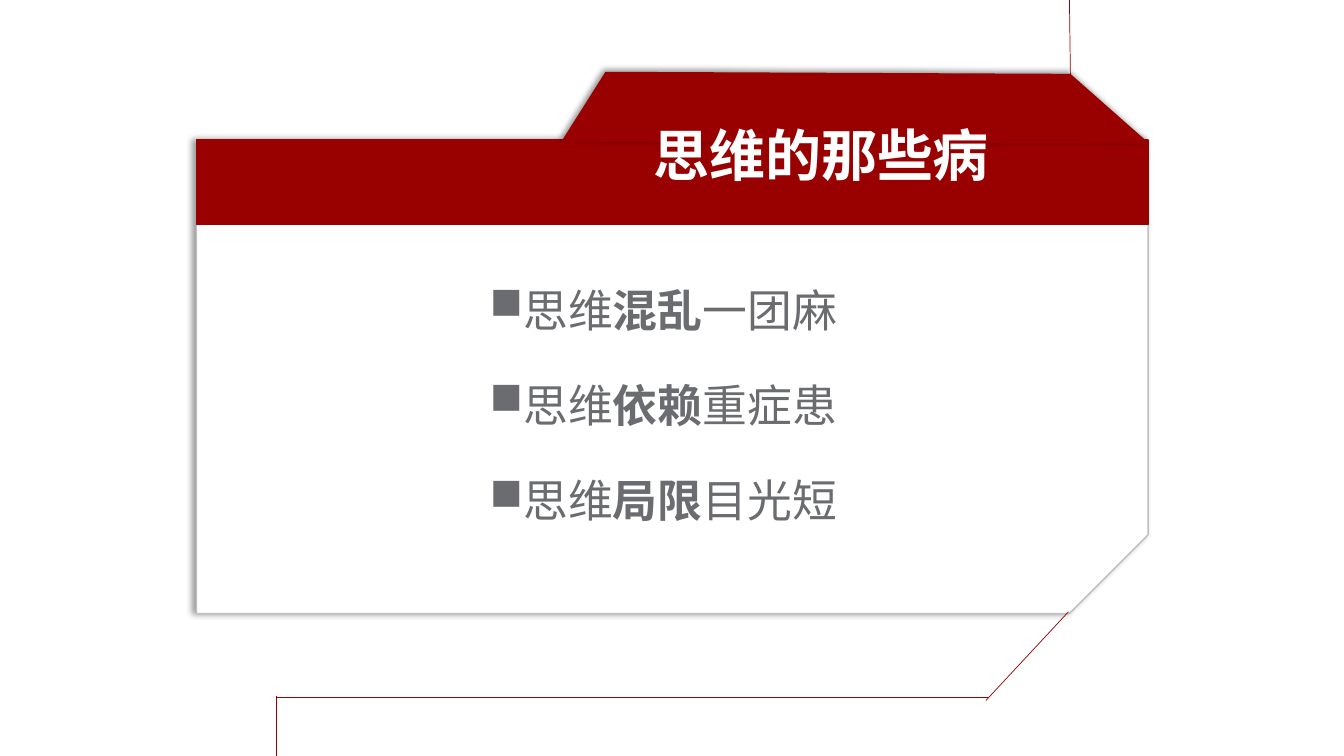
from dataclasses import dataclass
from pptx import Presentation
from pptx.dml.color import RGBColor as Rgb
from pptx.enum.shapes import MSO_CONNECTOR as Conn, MSO_SHAPE as Geo
from pptx.enum.text import MSO_ANCHOR as Anchor, MSO_AUTO_SIZE as Auto, PP_ALIGN as Align
from pptx.oxml.ns import qn
from pptx.util import Pt
from lxml.etree import SubElement as Sub


@dataclass(frozen=True)
class Theme:
    red: str = "990000"
    white: str = "FFFFFF"
    edge: str = "BFBFBF"
    ink: str = "6B6C70"
    black: str = "000000"
    font: str = "Noto Sans CJK SC"
    head: int = 40
    body: int = 32
    hair: float = 0.5
    rim: float = 1


theme = Theme()


def paint(shape, fill, edge, angle=None):
    shape.fill.solid()
    shape.fill.fore_color.rgb = Rgb.from_string(fill)
    shape.line.color.rgb = Rgb.from_string(edge)
    shape.line.width = Pt(theme.rim)
    shape.shadow.inherit = False
    if angle is not None:
        effects = shape.element.spPr.find(qn("a:effectLst"))
        shade = Sub(effects, qn("a:outerShdw"), blurRad=str(Pt(4)), dist=str(Pt(3)),
                    dir=str(angle * 60000), algn="ctr", rotWithShape="0")
        tone = Sub(shade, qn("a:srgbClr"), val=theme.black)
        Sub(tone, qn("a:alpha"), val="40000")


def line(slide, start, end):
    link = slide.shapes.add_connector(Conn.STRAIGHT, *map(Pt, start + end))
    link.line.color.rgb = Rgb.from_string(theme.red)
    link.line.width = Pt(theme.hair)
    Sub(link.element.spPr, qn("a:effectLst"))


def text(shape, rows, size, color, bullet=None, pitch=None, gap=0, anchor=Anchor.TOP):
    frame = shape.text_frame
    frame.word_wrap = True
    frame.auto_size = Auto.NONE
    frame.vertical_anchor = anchor
    frame.margin_left = frame.margin_right = Pt(7.2)
    frame.margin_top = frame.margin_bottom = 0
    for i, row in enumerate(rows):
        para = frame.paragraphs[0] if i == 0 else frame.add_paragraph()
        para.alignment = Align.LEFT
        para.space_before = Pt(gap if i else 0)
        if pitch:
            para.line_spacing = Pt(pitch)
        if bullet:
            props = para._p.get_or_add_pPr()
            props.set("marL", str(Pt(18)))
            props.set("indent", str(-Pt(18)))
            Sub(props, qn("a:buChar"), char=bullet)
        for words, bold in row:
            run = para.add_run()
            run.text = words
            run.font.size = Pt(size)
            run.font.bold = bold
            run.font.name = theme.font
            run.font.color.rgb = Rgb.from_string(color)
            Sub(run._r.get_or_add_rPr(), qn("a:ea"), typeface=theme.font)


def card(slide, x, y, w, h, rows):
    panel = slide.shapes.add_shape(Geo.SNIP_1_RECTANGLE, Pt(x), Pt(y), Pt(w), Pt(h))
    panel.element.spPr.xfrm.set("flipV", "1")
    paint(panel, theme.white, theme.edge, 180)
    bar = slide.shapes.add_shape(Geo.RECTANGLE, Pt(x), Pt(y), Pt(w), Pt(60.5))
    paint(bar, theme.red, theme.red)
    body = slide.shapes.add_textbox(Pt(x + 202.3), Pt(y + 82), Pt(275), Pt(230))
    text(body, rows, theme.body, theme.ink, bullet="■", pitch=58, gap=10)


def tab(slide, x, y, w, h, words):
    points = [(x + w, y + h), (x + w - 55.4, y + 1.5), (x + 31, y), (x, y + h - 1.4)]
    first, *rest = [(Pt(a), Pt(b)) for a, b in points]
    pen = slide.shapes.build_freeform(*first)
    pen.add_line_segments(rest, close=True)
    paint(pen.convert_to_shape(), theme.red, theme.red, 225)
    title = slide.shapes.title
    title.left, title.top = Pt(x + 57.6), Pt(y + 29.2)
    title.width, title.height = Pt(263.5), Pt(58)
    text(title, [[(words, True)]], theme.head, theme.white, anchor=Anchor.MIDDLE)
    slide.shapes.element.append(title.element)


def frame(slide, w, h):
    line(slide, (w - 196.1, 0), (w - 195.4, 53.3))
    line(slide, (w - 254.4, h - 41.8), (197.3, h - 41.8))
    line(slide, (197.3, h - 42.5), (197.3, h))
    line(slide, (w - 196.8, h - 103), (w - 255.8, h - 39.6))


def main():
    deck = Presentation()
    deck.slide_width, deck.slide_height = Pt(960), Pt(540)
    slide = deck.slides.add_slide(deck.slide_layouts[5])
    ills = [("混乱", "一团麻"), ("依赖", "重症患"), ("局限", "目光短")]
    rows = [[("思维", False), (ill, True), (sign, False)] for ill, sign in ills]
    card(slide, 140.4, 100, 679.7, 338.4, rows)
    frame(slide, 960, 540)
    tab(slide, 401.8, 51.8, 418, 50.4, "思维的那些病")
    deck.save("out.pptx")


if __name__ == "__main__":
    main()
